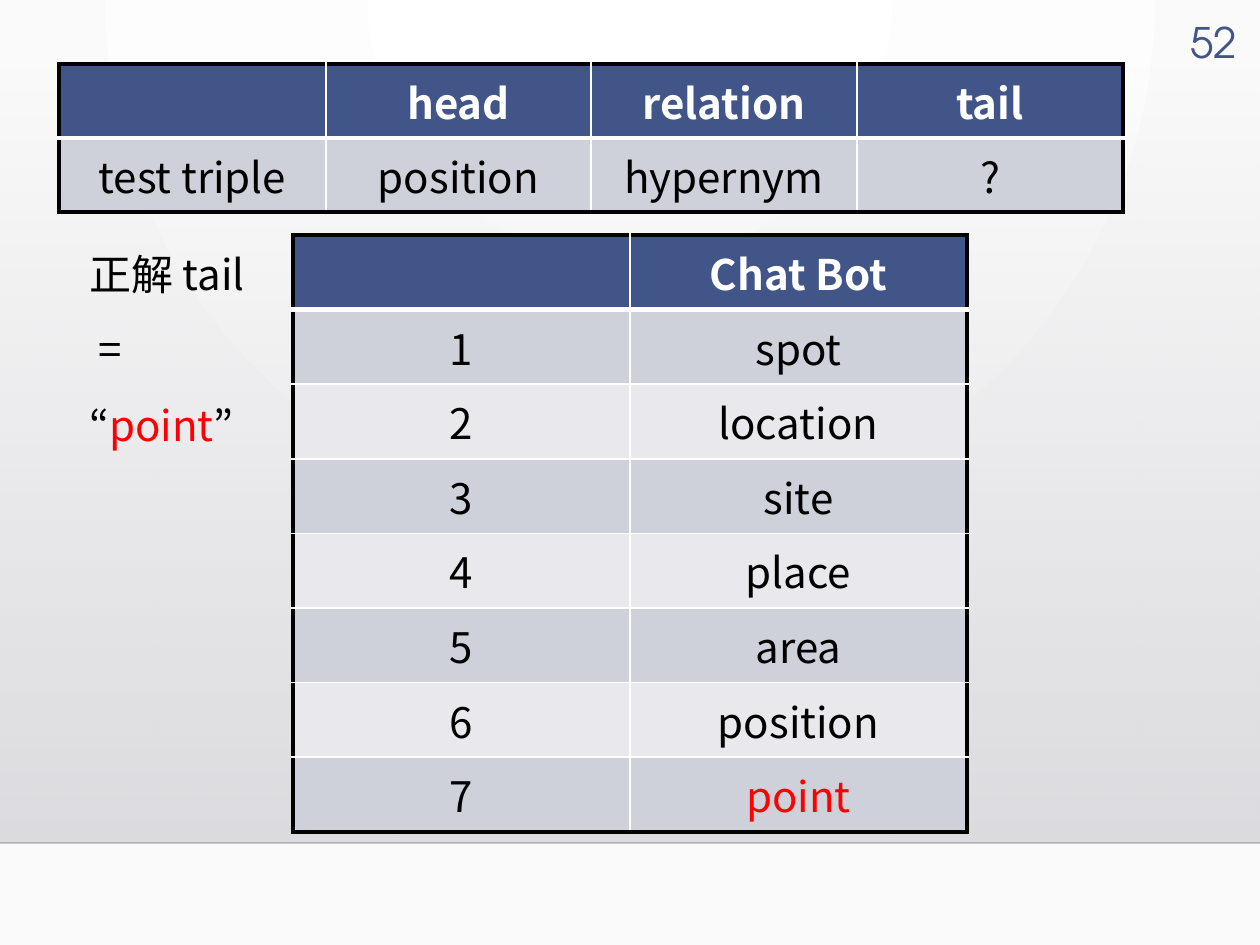
from dataclasses import dataclass

from lxml.etree import SubElement
from pptx import Presentation
from pptx.dml.color import RGBColor
from pptx.enum.shapes import MSO_CONNECTOR, MSO_SHAPE
from pptx.enum.text import MSO_ANCHOR, PP_ALIGN
from pptx.oxml.ns import qn
from pptx.util import Emu, Pt


@dataclass(frozen=True)
class Theme:
    navy: str = "415588"
    dark_band: str = "CFD1DA"
    light_band: str = "E9E9ED"
    white: str = "FFFFFF"
    black: str = "000000"
    red: str = "FF0000"
    backdrop: str = "FAFAFA"
    panel_top: str = "DCDCE0"
    panel_bottom: str = "DEDEE2"
    body_font: str = "Noto Sans CJK JP"
    number_font: str = "TeX Gyre Adventor"
    text_size: int = 24
    frame_width: int = 3
    grid_width: int = 1


theme = Theme()
PX = 914400 / 126


def px(length):
    return Emu(round(length * PX))


def write(para, text, color=theme.black, bold=False, font=theme.body_font, align=None):
    span = para.add_run()
    span.text = text
    span.font.size = Pt(theme.text_size)
    span.font.bold = bold
    span.font.color.rgb = RGBColor.from_string(color)
    span.font.name = font
    SubElement(span.font._element, qn("a:ea"), typeface=font)
    if align is not None:
        para.alignment = align


deck = Presentation()
deck.slide_width, deck.slide_height = px(1260), px(945)
page = deck.slides.add_slide(deck.slide_layouts[6])

backdrop = page.background.fill
backdrop.gradient()
for stop, color in zip(backdrop.gradient_stops, (theme.white, theme.backdrop)):
    stop.color.rgb = RGBColor.from_string(color)
gradient = next(page.element.iter(qn("a:gradFill")))
gradient.remove(gradient.find(qn("a:lin")))
circle = SubElement(gradient, qn("a:path"))
circle.set("path", "circle")
SubElement(circle, qn("a:fillToRect"), l="43000", t="0", r="43000", b="100000")

panel = page.shapes.add_shape(MSO_SHAPE.RECTANGLE, px(0), px(64), px(1260), px(779))
panel.shadow.inherit = False
panel.line.fill.background()
panel.fill.gradient()
panel.fill.gradient_angle = 270
for stop, color in zip(panel.fill.gradient_stops, (theme.panel_top, theme.panel_bottom)):
    stop.color.rgb = RGBColor.from_string(color)
SubElement(next(panel.element.iter(qn("a:srgbClr"))), qn("a:alpha"), val="0")

floor = page.shapes.add_connector(MSO_CONNECTOR.STRAIGHT, px(0), px(843), px(1260), px(843))
floor.line.width = Pt(theme.grid_width)
floor.line.color.rgb = RGBColor.from_string(theme.black)
SubElement(next(floor.element.iter(qn("a:srgbClr"))), qn("a:alpha"), val="20000")
SubElement(floor.element.spPr, qn("a:effectLst"))

number = page.shapes.add_textbox(px(1158), px(10), px(91), px(53))
number.text_frame.word_wrap = True
write(number.text_frame.paragraphs[0], "52", color=theme.navy,
      font=theme.number_font, align=PP_ALIGN.RIGHT)

candidates = ["spot", "location", "site", "place", "area", "position", "point"]
ranking = [["", "Chat Bot"]]
ranking += [[str(rank), word] for rank, word in enumerate(candidates, 1)]
triple = [["", "head", "relation", "tail"], ["test triple", "position", "hypernym", "?"]]

for rows, left, top, widths, height in (
    (ranking, 293, 235, [337, 337], 597),
    (triple, 59, 64, [267, 265, 266, 266], 148),
):
    table = page.shapes.add_table(len(rows), len(widths), px(left), px(top),
                                  px(sum(widths)), px(height)).table
    for column, width in zip(table.columns, widths):
        column.width = px(width)
    for i, words in enumerate(rows):
        table.rows[i].height = px(height / len(rows))
        for j, word in enumerate(words):
            cell = table.cell(i, j)
            cell.vertical_anchor = MSO_ANCHOR.MIDDLE
            outer = {"L": j == 0, "R": j == len(widths) - 1,
                     "T": i == 0, "B": i == len(rows) - 1}
            under_header = {"T": i == 1, "B": i == 0}
            for side, framed in outer.items():
                thick = framed or under_header.get(side, False)
                weight = Pt(theme.frame_width if thick else theme.grid_width)
                border = SubElement(cell._tc.get_or_add_tcPr(), qn(f"a:ln{side}"), w=str(weight))
                paint = SubElement(border, qn("a:solidFill"))
                SubElement(paint, qn("a:srgbClr"), val=theme.black if framed else theme.white)
            band = theme.dark_band if i % 2 else theme.light_band
            cell.fill.solid()
            cell.fill.fore_color.rgb = RGBColor.from_string(theme.navy if i == 0 else band)
            color = theme.white if i == 0 else theme.red if word == "point" else theme.black
            if word:
                write(cell.text_frame.paragraphs[0], word, color=color,
                      bold=i == 0, align=PP_ALIGN.CENTER)

answer = page.shapes.add_textbox(px(77), px(217), px(204), px(155))
answer.text_frame.word_wrap = True
label = answer.text_frame.paragraphs[0]
label.line_spacing = 1.5
write(label, "正解 tail")
value = answer.text_frame.add_paragraph()
value.line_spacing = 1.5
write(value, " = “")
write(value, "point", color=theme.red)
write(value, "”")

deck.save("out.pptx")
